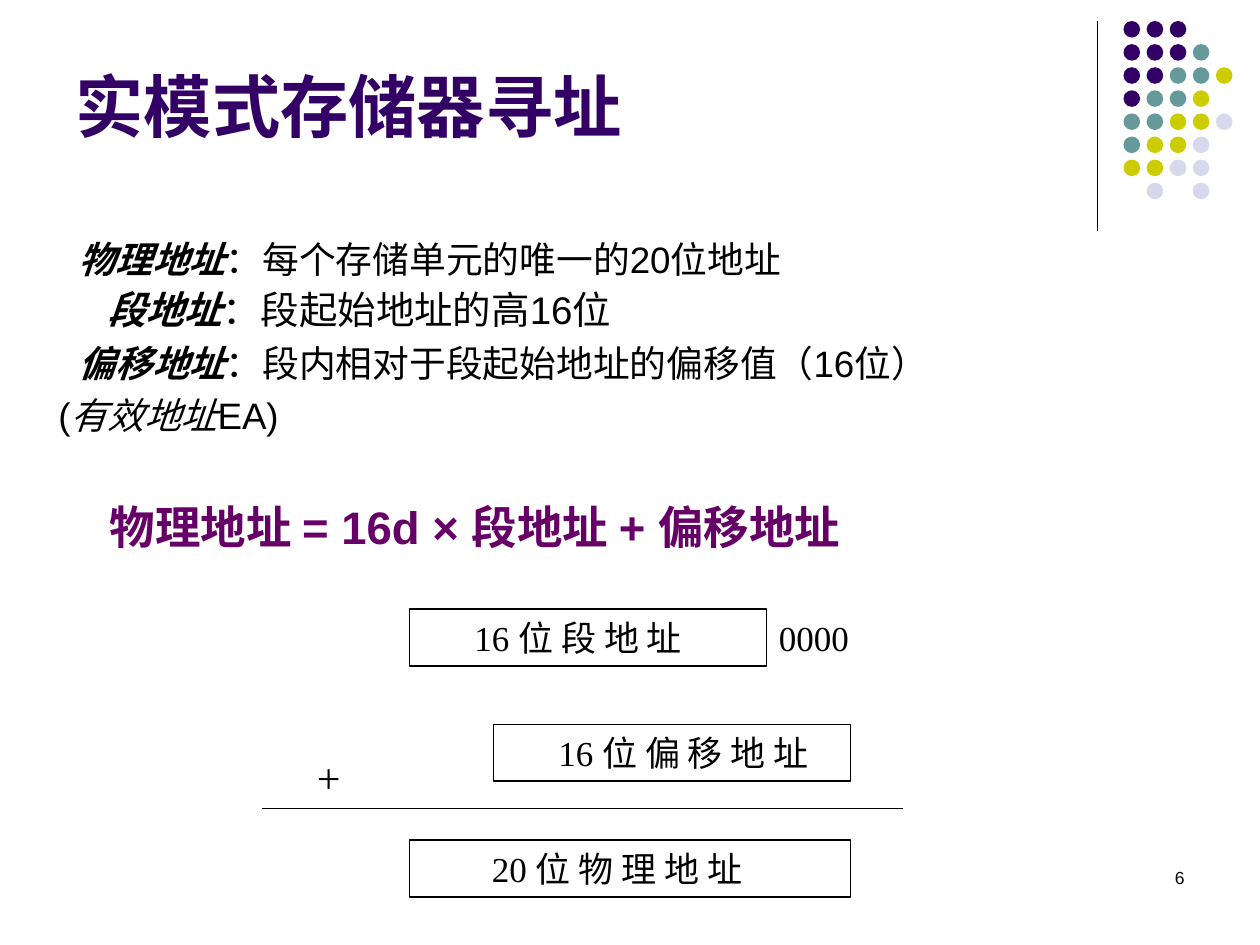
from dataclasses import dataclass

from lxml import etree
from pptx import Presentation
from pptx.dml.color import RGBColor
from pptx.enum.shapes import MSO_CONNECTOR, MSO_SHAPE
from pptx.enum.text import MSO_ANCHOR, MSO_AUTO_SIZE, PP_ALIGN
from pptx.oxml.ns import qn
from pptx.util import Pt

LINE = MSO_CONNECTOR.STRAIGHT
RECT, OVAL = MSO_SHAPE.RECTANGLE, MSO_SHAPE.OVAL
TOP, MID = MSO_ANCHOR.TOP, MSO_ANCHOR.MIDDLE
LEFT, RIGHT, JUST = PP_ALIGN.LEFT, PP_ALIGN.RIGHT, PP_ALIGN.JUSTIFY
FIXED = MSO_AUTO_SIZE.NONE


@dataclass(frozen=True)
class Theme:
    ink: str = "000000"
    head: str = "330066"
    rule: str = "660066"
    teal: str = "669999"
    lime: str = "CCCC00"
    pale: str = "D8D8EC"
    sans: str = "Arial"
    serif: str = "Times New Roman"
    title: float = 39
    body: float = 21
    seg: float = 22
    sum: float = 26
    box: float = 20
    plus: float = 24
    page: float = 10


T = Theme()
DOTS = ["HHH", "HHHT", "HHTTL", "HTTL", "TTLLP", "TLLP", "LLPP", " P P"]
HUES = {"H": T.head, "T": T.teal, "L": T.lime, "P": T.pale}


def rgb(hue):
    return RGBColor.from_string(hue)


def place(shape, x, y, w, h):
    shape.left, shape.top, shape.width, shape.height = map(Pt, (x, y, w, h))


def text(para, *runs, size, font=T.sans, hue=T.ink, bold=False, align=LEFT,
         indent=0, before=0, pitch=1.0, level=0):
    """Fill a paragraph; a run is a string or a (string, font flags) pair."""
    para.alignment, para.level = align, level
    para.space_before, para.line_spacing = Pt(before), pitch
    props = para._p.get_or_add_pPr()
    props.set("marL", str(Pt(indent)))
    props.set("indent", "0")
    etree.SubElement(props, qn("a:buNone"))
    for item in runs:
        words, flags = (item, "") if isinstance(item, str) else item
        run = para.add_run()
        run.text = words
        face = run.font
        face.name, face.size, face.color.rgb = font, Pt(size), rgb(hue)
        face.bold, face.italic = bold or "b" in flags, "i" in flags


def setup(shape, anchor=MID, wrap=True):
    frame = shape.text_frame
    frame.auto_size, frame.word_wrap = FIXED, wrap
    frame.vertical_anchor = anchor
    return frame


def label(slide, words, x, y, w, h, anchor=MID, wrap=True, **form):
    shape = slide.shapes.add_textbox(Pt(x), Pt(y), Pt(w), Pt(h))
    text(setup(shape, anchor, wrap).paragraphs[0], words, **form)


def box(slide, words, x, y, w, indent):
    shape = slide.shapes.add_shape(RECT, Pt(x), Pt(y), Pt(w), Pt(32.4))
    shape.shadow.inherit = False
    shape.fill.background()
    shape.line.color.rgb, shape.line.width = rgb(T.ink), Pt(1)
    text(setup(shape).paragraphs[0], words, size=T.box, font=T.serif,
         indent=indent)


def line(slide, x1, y1, x2, y2, width):
    rule = slide.shapes.add_connector(LINE, Pt(x1), Pt(y1), Pt(x2), Pt(y2))
    rule.line.color.rgb, rule.line.width = rgb(T.ink), Pt(width)
    etree.SubElement(rule._element.spPr, qn("a:effectLst"))


def dots(slide):
    group = slide.shapes.add_group_shape()
    for row, marks in enumerate(DOTS):
        for col, mark in enumerate(marks):
            if mark == " ":
                continue
            dot = group.shapes.add_shape(
                OVAL, Pt(642 + 13.2 * col), Pt(12 + 13.2 * row),
                Pt(9.5), Pt(9.5))
            dot.shadow.inherit = False
            dot.fill.solid()
            dot.fill.fore_color.rgb = rgb(HUES[mark])
            dot.line.fill.background()


def terms(slide):
    """Definitions of the address terms, closed by the formula."""
    body = slide.placeholders[1]
    place(body, 14.4, 100, 645.8, 218)
    frame = setup(body, TOP)
    frame.margin_top = Pt(30.5)
    rows = [
        (23.3, T.body, 0, [("物理地址", "bi"), "：每个存储单元的唯一的20位地址"]),
        (39.6, T.seg, 1, [("段地址", "bi"), "：段起始地址的高16位"]),
        (23.3, T.body, 0,
         [("偏移地址", "bi"), "：段内相对于段起始地址的偏移值（16位）"]),
        (11.7, T.body, 0, ["(", ("有效地址", "i"), "EA)"]),
    ]
    para = frame.paragraphs[0]
    for indent, size, level, runs in rows:
        text(para, *runs, size=size, indent=indent, level=level, align=JUST,
             pitch=Pt(29.8))
        para = frame.add_paragraph()
    text(para, "物理地址 = 16d × 段地址 + 偏移地址", size=T.sum, hue=T.rule,
         bold=True, indent=41, before=30.5, align=JUST, pitch=Pt(36))


def adder(slide):
    """Shifted segment plus offset gives the 20-bit address."""
    box(slide, "16 位 段 地 址", 234, 348, 204, 30)
    box(slide, "16 位 偏 移 地 址", 282, 414, 204, 30)
    label(slide, "0000", 378, 348, 204, 32.4, size=T.box, font=T.serif,
          indent=60)
    line(slide, 150, 462, 516, 462, 1)
    label(slide, "+", 174, 426, 28, 36, wrap=False, size=T.plus,
          font=T.serif)
    box(slide, "20 位 物 理 地 址", 234, 480, 252, 40)


def main():
    deck = Presentation()
    deck.slide_width, deck.slide_height = Pt(720), Pt(540)
    slide = deck.slides.add_slide(deck.slide_layouts[1])
    line(slide, 627, 12, 627, 132, 0.75)
    dots(slide)
    title = slide.shapes.title
    place(title, 36, 9, 594, 102)
    text(setup(title).paragraphs[0], "实模式存储器寻址", size=T.title,
         hue=T.head, bold=True)
    terms(slide)
    adder(slide)
    label(slide, "6", 516, 492, 168, 36, anchor=TOP, size=T.page, align=RIGHT)
    deck.save("out.pptx")


if __name__ == "__main__":
    main()
